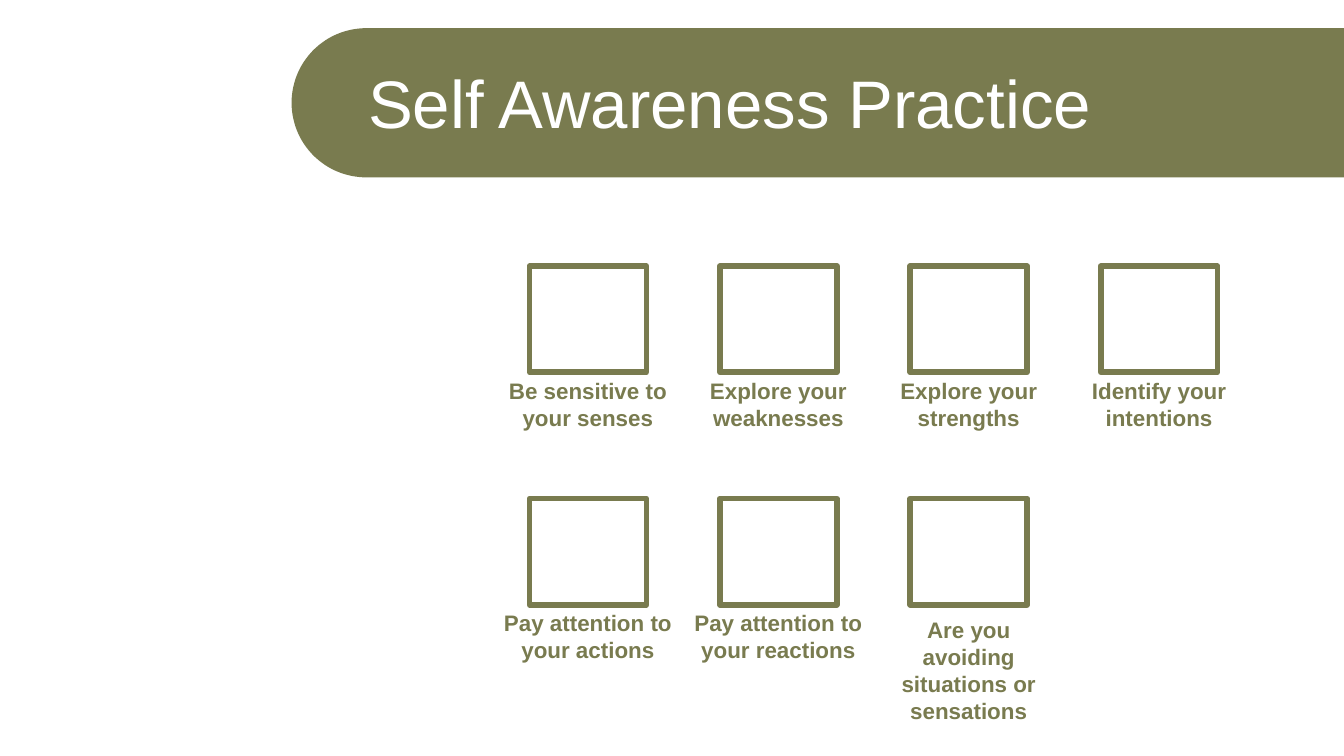
from math import cos, pi, sin

from pptx import Presentation
from pptx.dml.color import RGBColor
from pptx.enum.shapes import MSO_SHAPE
from pptx.enum.text import MSO_ANCHOR, PP_ALIGN
from pptx.util import Inches, Pt

OLIVE = RGBColor(0x79, 0x7B, 0x4F)
WHITE = RGBColor(0xFF, 0xFF, 0xFF)
RECTANGLE = MSO_SHAPE.RECTANGLE
MIDDLE = MSO_ANCHOR.MIDDLE
LEFT, CENTER = PP_ALIGN.LEFT, PP_ALIGN.CENTER

FONT = "Arial"
ARC_STEPS = 60
COLUMNS = 4
GRID_SPAN = 4.25
COLUMN_STEP, ROW_STEP = GRID_SPAN / (COLUMNS - 1), 1.73
BOX_WIDTH, BOX_HEIGHT = 0.87, 0.79
LABEL_WIDTH, LABEL_HEIGHT = 1.46, 0.5
TALL_LABEL_HEIGHT = 0.91

PRACTICES = [
    ("Be sensitive to your senses", 0.78, LABEL_HEIGHT),
    ("Explore your weaknesses", 0.78, LABEL_HEIGHT),
    ("Explore your strengths", 0.78, LABEL_HEIGHT),
    ("Identify your intentions", 0.78, LABEL_HEIGHT),
    ("Pay attention to your actions", 0.77, LABEL_HEIGHT),
    ("Pay attention to your reactions", 0.77, LABEL_HEIGHT),
    ("Are you avoiding situations or sensations", 0.82, TALL_LABEL_HEIGHT),
]


def add_text(slide, text, left, top, width, height, size, color, alignment, bold=False):
    shape = slide.shapes.add_textbox(
        Inches(left), Inches(top), Inches(width), Inches(height)
    )
    text_frame = shape.text_frame
    text_frame.word_wrap = True
    text_frame.vertical_anchor = MIDDLE
    text_frame.text = text
    paragraph = text_frame.paragraphs[0]
    paragraph.alignment = alignment
    font = paragraph.runs[0].font
    font.name = FONT
    font.size = Pt(size)
    font.bold = bold
    font.color.rgb = color


def add_banner(slide, title, left, top, width, height):
    radius = height / 2
    angles = [pi / 2 + pi * step / ARC_STEPS for step in range(ARC_STEPS + 1)]
    arc = [
        (
            Inches(left + radius + radius * cos(angle)),
            Inches(top + radius + radius * sin(angle)),
        )
        for angle in angles
    ]
    right, bottom = Inches(left + width), Inches(top + height)
    builder = slide.shapes.build_freeform(right, Inches(top))
    builder.add_line_segments([(right, bottom), *arc], close=True)
    banner = builder.convert_to_shape()
    banner.shadow.inherit = False
    banner.fill.solid()
    banner.fill.fore_color.rgb = OLIVE
    banner.line.fill.background()
    add_text(
        slide, title, left + 0.47, top + 0.23, width - 0.51, 0.63, 36, WHITE, LEFT
    )


def add_practice(slide, left, top, label, label_offset, label_height):
    box = slide.shapes.add_shape(
        RECTANGLE, Inches(left), Inches(top), Inches(BOX_WIDTH), Inches(BOX_HEIGHT)
    )
    box.shadow.inherit = False
    box.fill.background()
    box.line.color.rgb = OLIVE
    box.line.width = Pt(3)
    label_left = left + (BOX_WIDTH - LABEL_WIDTH) / 2
    add_text(
        slide, label, label_left, top + label_offset, LABEL_WIDTH, label_height,
        12, OLIVE, CENTER, bold=True,
    )


def add_practice_grid(slide, left, top):
    for index, practice in enumerate(PRACTICES):
        row, column = divmod(index, COLUMNS)
        add_practice(
            slide, left + column * COLUMN_STEP, top + row * ROW_STEP, *practice
        )


def main():
    presentation = Presentation()
    presentation.slide_width = Inches(10)
    presentation.slide_height = presentation.slide_width * 9 // 16
    slide = presentation.slides.add_slide(presentation.slide_layouts[6])
    add_banner(slide, "Self Awareness Practice", 2.17, 0.21, 7.83, 1.11)
    add_practice_grid(slide, 3.94, 1.98)
    presentation.save("out.pptx")


if __name__ == "__main__":
    main()
